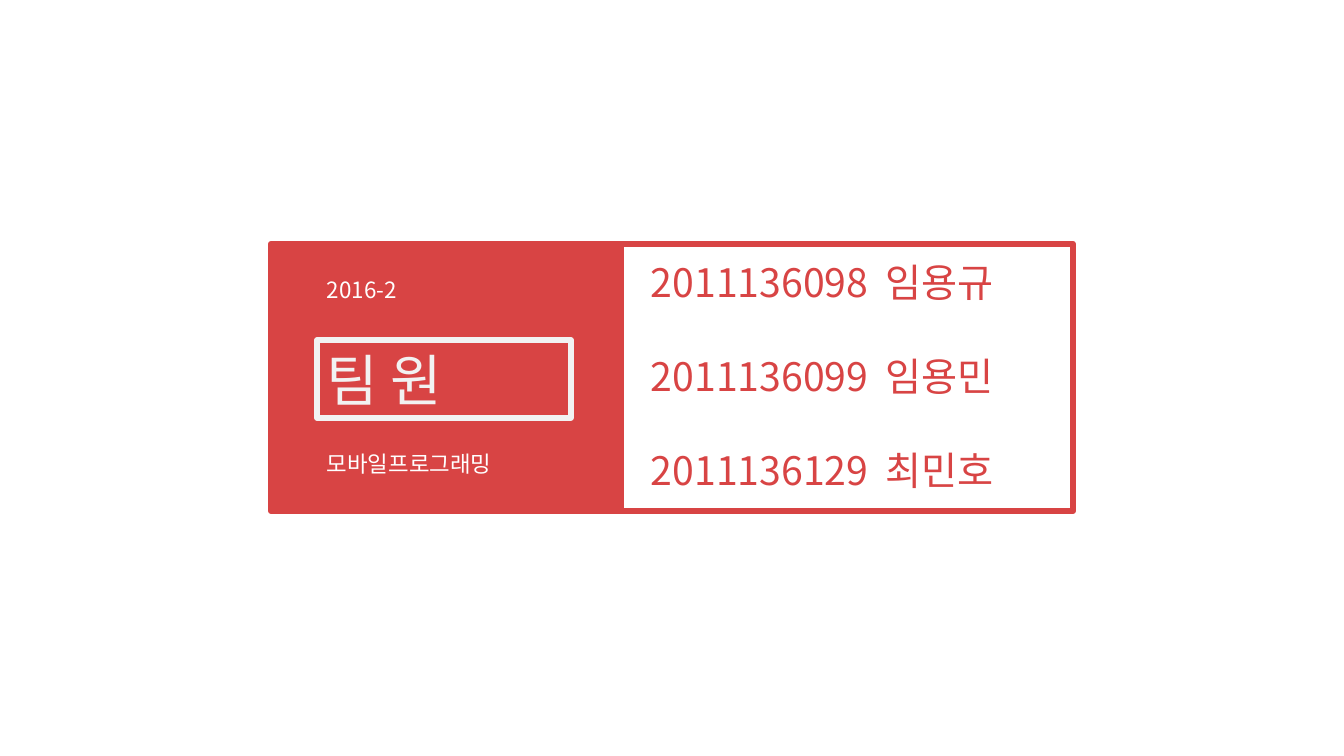
import pptx
import pptx.util
import pptx.dml.color
import pptx.enum.shapes
import pptx.enum.text
import pptx.oxml.ns
import lxml.etree

FONT = "Noto Sans CJK KR"
RED = "D84444"
WHITE = "FFFFFF"
PALE = "F2F2F2"

TERM = "2016-2"
TITLE = "팀 원"
COURSE = "모바일프로그래밍"
MEMBERS = [
    ("2011136098", "임용규"),
    ("2011136099", "임용민"),
    ("2011136129", "최민호"),
]

SLIDE_SIZE = (1344, 756)
PANEL = (269, 243, 354, 267)
FRAME = (271, 244, 802, 267)
TERM_BOX = (317, 274, 254, 39)
TITLE_BOX = (317, 340, 254, 78)
COURSE_BOX = (317, 445, 254, 39)
MEMBERS_BOX = (641, 253, 414, 248)
NAME_TAB = 235
MEMBER_SIZE = 28
LINE_HEIGHT = 1.2


def px(length):
    return pptx.util.Emu(round(length * 914400 / 100.8))


def color(value):
    return pptx.dml.color.RGBColor.from_string(value)


def add_rectangle(slide, box, line_color, line_width, fill=None):
    shape = slide.shapes.add_shape(
        pptx.enum.shapes.MSO_SHAPE.RECTANGLE, *map(px, box))
    shape.shadow.inherit = False
    if fill:
        shape.fill.solid()
        shape.fill.fore_color.rgb = color(fill)
    else:
        shape.fill.background()
    shape.line.color.rgb = color(line_color)
    shape.line.width = pptx.util.Pt(line_width)
    return shape


def add_text_box(slide, box):
    return slide.shapes.add_textbox(*map(px, box))


def write_lines(shape, lines, size, text_color, anchor="TOP", gap=0, tab=None):
    frame = shape.text_frame
    frame.word_wrap = True
    frame.vertical_anchor = pptx.enum.text.MSO_ANCHOR[anchor]
    for index, line in enumerate(lines):
        paragraph = frame.add_paragraph() if index else frame.paragraphs[0]
        paragraph.add_run().text = line
        paragraph.alignment = pptx.enum.text.PP_ALIGN.JUSTIFY
        if index and gap:
            paragraph.space_before = pptx.util.Pt(gap)
        font = paragraph.font
        font.size = pptx.util.Pt(size)
        font.name = FONT
        font.color.rgb = color(text_color)
        properties = paragraph._p.get_or_add_pPr()
        defaults = properties.find(pptx.oxml.ns.qn("a:defRPr"))
        lxml.etree.SubElement(
            defaults, pptx.oxml.ns.qn("a:ea"), typeface=FONT)
        if tab:
            tabs = lxml.etree.Element(pptx.oxml.ns.qn("a:tabLst"))
            lxml.etree.SubElement(
                tabs, pptx.oxml.ns.qn("a:tab"), pos=str(px(tab)), algn="l")
            defaults.addprevious(tabs)
    return frame


def main():
    presentation = pptx.Presentation()
    presentation.slide_width, presentation.slide_height = map(px, SLIDE_SIZE)
    slide = presentation.slides.add_slide(presentation.slide_layouts[6])

    add_rectangle(slide, PANEL, RED, 0.25, fill=RED)
    term = write_lines(add_text_box(slide, TERM_BOX), [TERM], 16, WHITE)
    term.paragraphs[0].line_spacing = 0.9
    title = add_rectangle(slide, TITLE_BOX, PALE, 3.75)
    write_lines(title, [TITLE], 40, PALE, anchor="MIDDLE")
    write_lines(add_text_box(slide, COURSE_BOX), [COURSE], 16, WHITE)
    write_lines(
        add_text_box(slide, MEMBERS_BOX),
        ["\t".join(member) for member in MEMBERS],
        MEMBER_SIZE, RED, gap=MEMBER_SIZE * LINE_HEIGHT, tab=NAME_TAB)
    add_rectangle(slide, FRAME, RED, 4.5)

    presentation.save("out.pptx")


if __name__ == "__main__":
    main()
